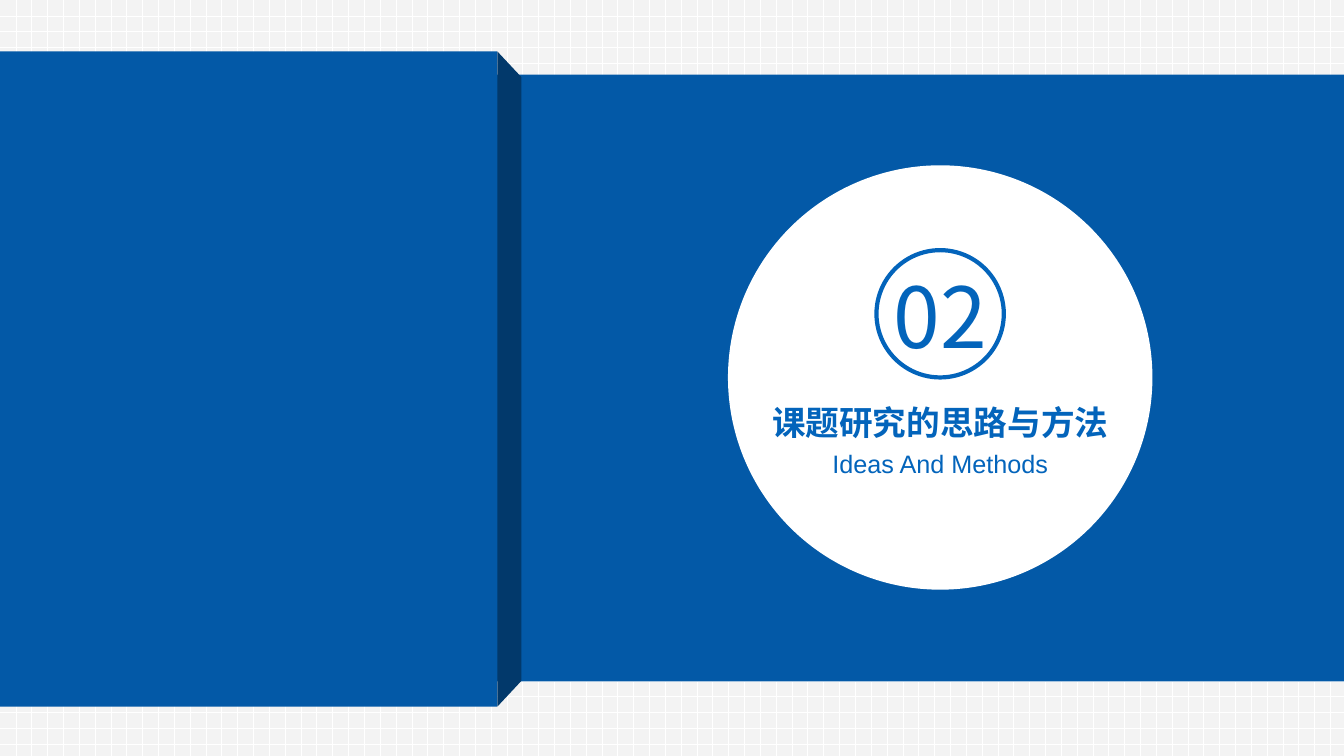
from lxml import etree
from pptx import Presentation
from pptx.dml.color import RGBColor
from pptx.enum.dml import MSO_PATTERN
from pptx.enum.shapes import MSO_SHAPE
from pptx.enum.text import MSO_ANCHOR, MSO_AUTO_SIZE, PP_ALIGN
from pptx.oxml.ns import qn
from pptx.util import Inches, Pt

RECT, OVAL, TRAPEZOID = MSO_SHAPE.RECTANGLE, MSO_SHAPE.OVAL, MSO_SHAPE.TRAPEZOID
DOT_GRID = MSO_PATTERN.DOTTED_GRID
CENTER, MIDDLE, NO_FIT = PP_ALIGN.CENTER, MSO_ANCHOR.MIDDLE, MSO_AUTO_SIZE.NONE

W, H = 13.33, 7.5
BLUE, NAVY, ACCENT = "0359A7", "02396B", "0364BB"
WHITE, PALE = "FFFFFF", "F3F3F3"
CJK, LATIN = "Noto Sans CJK SC", "Arial"


def rgb(value):
    return RGBColor.from_string(value)


def add_shape(s, kind, box, fill=None, line=None, width=3):
    sp = s.shapes.add_shape(kind, *map(Inches, box))
    sp.shadow.inherit = False
    if fill:
        sp.fill.solid()
        sp.fill.fore_color.rgb = rgb(fill)
    else:
        sp.fill.background()
    if line:
        sp.line.color.rgb = rgb(line)
        sp.line.width = Pt(width)
    else:
        sp.line.fill.background()
    return sp


def write(sp, box, text, face, size, bold=False):
    """Place a text shape and fill it with one centred line."""
    for name, value in zip(("left", "top", "width", "height"), box):
        setattr(sp, name, Inches(value))
    tf = sp.text_frame
    frame = {"word_wrap": True, "auto_size": NO_FIT, "vertical_anchor": MIDDLE}
    for name, value in frame.items():
        setattr(tf, name, value)
    p = tf.paragraphs[0]
    p.alignment, p.space_before = CENTER, Pt(0)
    r = p.add_run()
    r.text = text
    for name, value in {"name": face, "size": Pt(size), "bold": bold}.items():
        setattr(r.font, name, value)
    r.font.color.rgb = rgb(ACCENT)
    # East Asian characters take their own font element
    etree.SubElement(r.font._element, qn("a:ea"), typeface=face)


def backdrop(s, box):
    sp = add_shape(s, RECT, box, PALE)
    sp.fill.patterned()
    sp.fill.pattern = DOT_GRID
    sp.fill.fore_color.rgb = rgb(WHITE)
    sp.fill.back_color.rgb = rgb(PALE)


def folded_band(s, box):
    """Wide band, a taller panel on its left, and the fold between them."""
    x, y, w, h = box
    panel_w, panel_h, fold = w * 0.37, h * 1.08, 0.24
    panel_y = y - 0.23
    add_shape(s, RECT, box, BLUE)
    add_shape(s, RECT, (x, panel_y, panel_w, panel_h), BLUE)
    # The trapezoid lies on its side, so its box is given unrotated
    cx, cy = x + panel_w + fold / 2, panel_y + panel_h / 2
    sp = add_shape(s, TRAPEZOID,
                   (cx - panel_h / 2, cy - fold / 2, panel_h, fold), NAVY)
    sp.rotation = 90
    sp.adjustments[0] = 1.07


def section_disc(s, box, number, title, subtitle):
    x, y, d, _ = box
    cx = x + d / 2

    def centred(w, top, h):
        return cx - w / 2, y + d * top, w, h

    add_shape(s, OVAL, box, WHITE)
    ring = d * 0.3
    add_shape(s, OVAL, centred(ring, 0.2, ring), line=ACCENT)
    write(s.shapes.add_textbox(0, 0, 0, 0), centred(ring, 0.22, 1.11),
          number, CJK, 60)
    heading, sub = s.placeholders
    texts = ((heading, 0.545, 0.5, title, CJK, 24, True),
             (sub, 0.655, 0.4, subtitle, LATIN, 18, False))
    for sp, top, h, text, face, size, bold in texts:
        s.shapes._spTree.append(sp._element)  # bring above the disc
        write(sp, centred(d * 1.3, top, h), text, face, size, bold)


def main():
    prs = Presentation()
    prs.slide_width, prs.slide_height = Inches(W), Inches(H)
    s = prs.slides.add_slide(prs.slide_layouts[0])
    backdrop(s, (0, 0, W, H))
    folded_band(s, (0, 0.74, W, 6.02))
    section_disc(s, (7.22, 1.64, 4.21, 4.21),
                 "02", "课题研究的思路与方法", "Ideas And Methods")
    prs.save("out.pptx")


if __name__ == "__main__":
    main()
